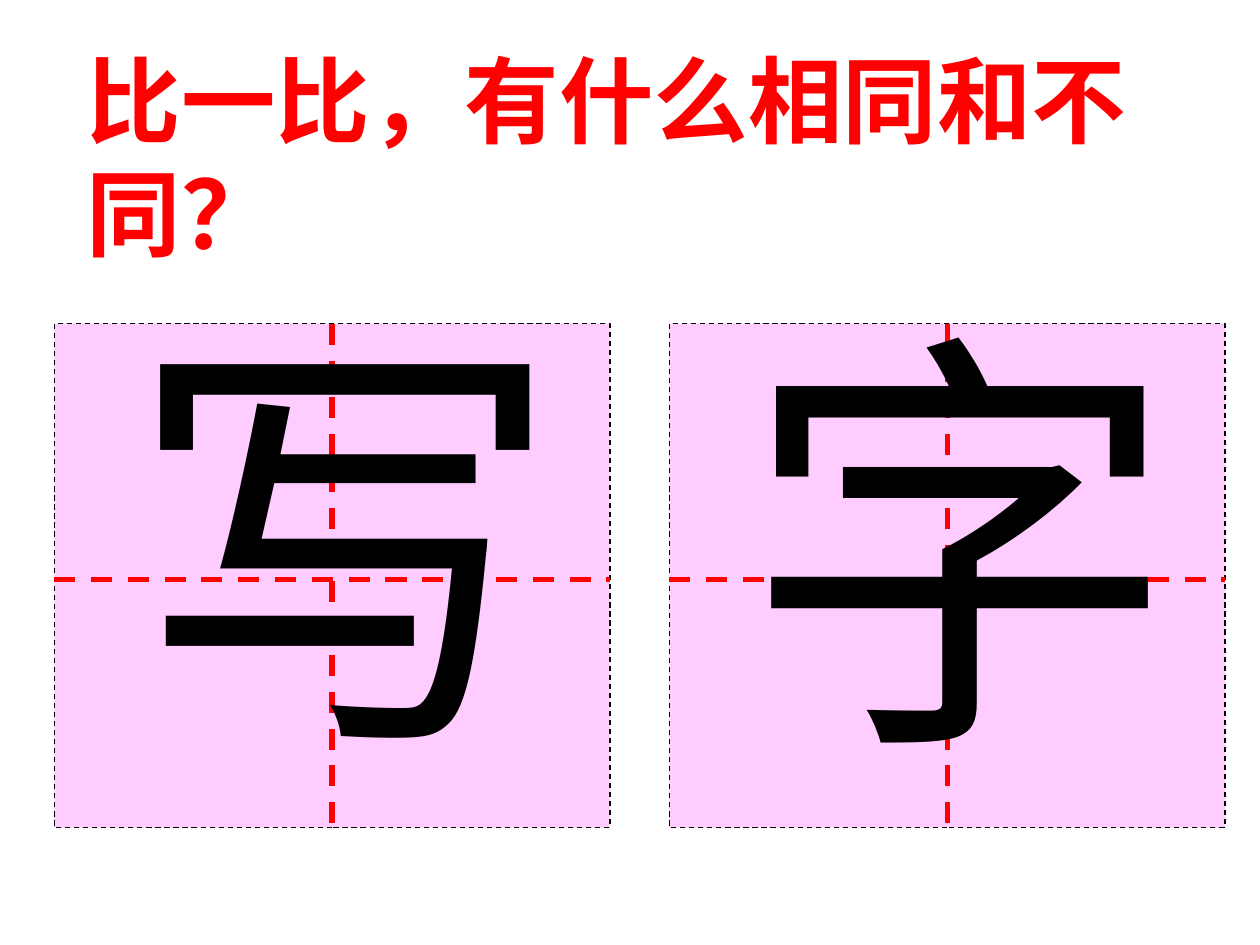
from lxml.etree import SubElement
from pptx import Presentation
from pptx.dml.color import RGBColor
from pptx.enum.dml import MSO_LINE
from pptx.enum.shapes import MSO_CONNECTOR, MSO_SHAPE
from pptx.enum.text import MSO_ANCHOR, MSO_AUTO_SIZE, PP_ALIGN
from pptx.oxml.ns import qn
from pptx.util import Pt

COLORS = {"ink": "000000", "accent": "FF0000", "paper": "FFCCFF"}
GRID_TOP, GRID_WIDTH, GRID_HEIGHT = 185, 317.5, 288
MIDLINE = 331.2
CHARACTER_INDENT, CHARACTER_TOP, CHARACTER_HEIGHT = 34, 151.2, 307.4


class CharacterSlide:
    font_name = "Arial"

    def __init__(self, prs):
        self.slide = prs.slides.add_slide(prs.slide_layouts[5])

    def color(self, name):
        return RGBColor.from_string(COLORS[name])

    def style_line(self, line, color, width):
        line.color.rgb = self.color(color)
        line.width = Pt(width)
        line.dash_style = MSO_LINE.DASH

    def set_text(self, box, text, size, color, bold=False):
        frame = box.text_frame
        frame.text = text
        frame.word_wrap = True
        frame.auto_size = MSO_AUTO_SIZE.NONE
        frame.vertical_anchor = MSO_ANCHOR.TOP
        paragraph = frame.paragraphs[0]
        paragraph.alignment = PP_ALIGN.LEFT
        paragraph.space_before = Pt(0)
        font = paragraph.runs[0].font
        font.name = self.font_name
        font.size = Pt(size)
        font.bold = bold
        font.color.rgb = self.color(color)

    def title(self, text, left, top, width, height):
        heading = self.slide.shapes.title
        heading.left, heading.top = Pt(left), Pt(top)
        heading.width, heading.height = Pt(width), Pt(height)
        self.set_text(heading, text, 54, "accent", bold=True)

    def guide(self, group, x1, y1, x2, y2):
        guide = group.shapes.add_connector(
            MSO_CONNECTOR.STRAIGHT, Pt(x1), Pt(y1), Pt(x2), Pt(y2))
        self.style_line(guide.line, "accent", 3)
        SubElement(guide._element.spPr, qn("a:effectLst"))

    def practice_grid(self, left):
        """Draw a writing square with dashed centre guides."""
        group = self.slide.shapes.add_group_shape()
        square = group.shapes.add_shape(
            MSO_SHAPE.RECTANGLE, Pt(left), Pt(GRID_TOP), Pt(GRID_WIDTH), Pt(GRID_HEIGHT))
        square.shadow.inherit = False
        square.fill.solid()
        square.fill.fore_color.rgb = self.color("paper")
        self.style_line(square.line, "ink", 0.75)
        center = left + GRID_WIDTH / 2
        self.guide(group, left, MIDLINE, left + GRID_WIDTH, MIDLINE)
        self.guide(group, center, GRID_TOP, center, GRID_TOP + GRID_HEIGHT)

    def character(self, text, grid_left, width):
        box = self.slide.shapes.add_textbox(
            Pt(grid_left + CHARACTER_INDENT), Pt(CHARACTER_TOP), Pt(width), Pt(CHARACTER_HEIGHT))
        self.set_text(box, text, 250, "ink")


def main():
    prs = Presentation()
    prs.slide_width, prs.slide_height = Pt(720), Pt(540)
    page = CharacterSlide(prs)
    page.title("比一比，有什么相同和不同？", 42.5, 20.2, 623.5, 136.8)
    for character, grid_left, width in (("写", 31, 300), ("字", 382.5, 232.5)):
        page.practice_grid(grid_left)
        page.character(character, grid_left, width)
    prs.save("out.pptx")


if __name__ == "__main__":
    main()
